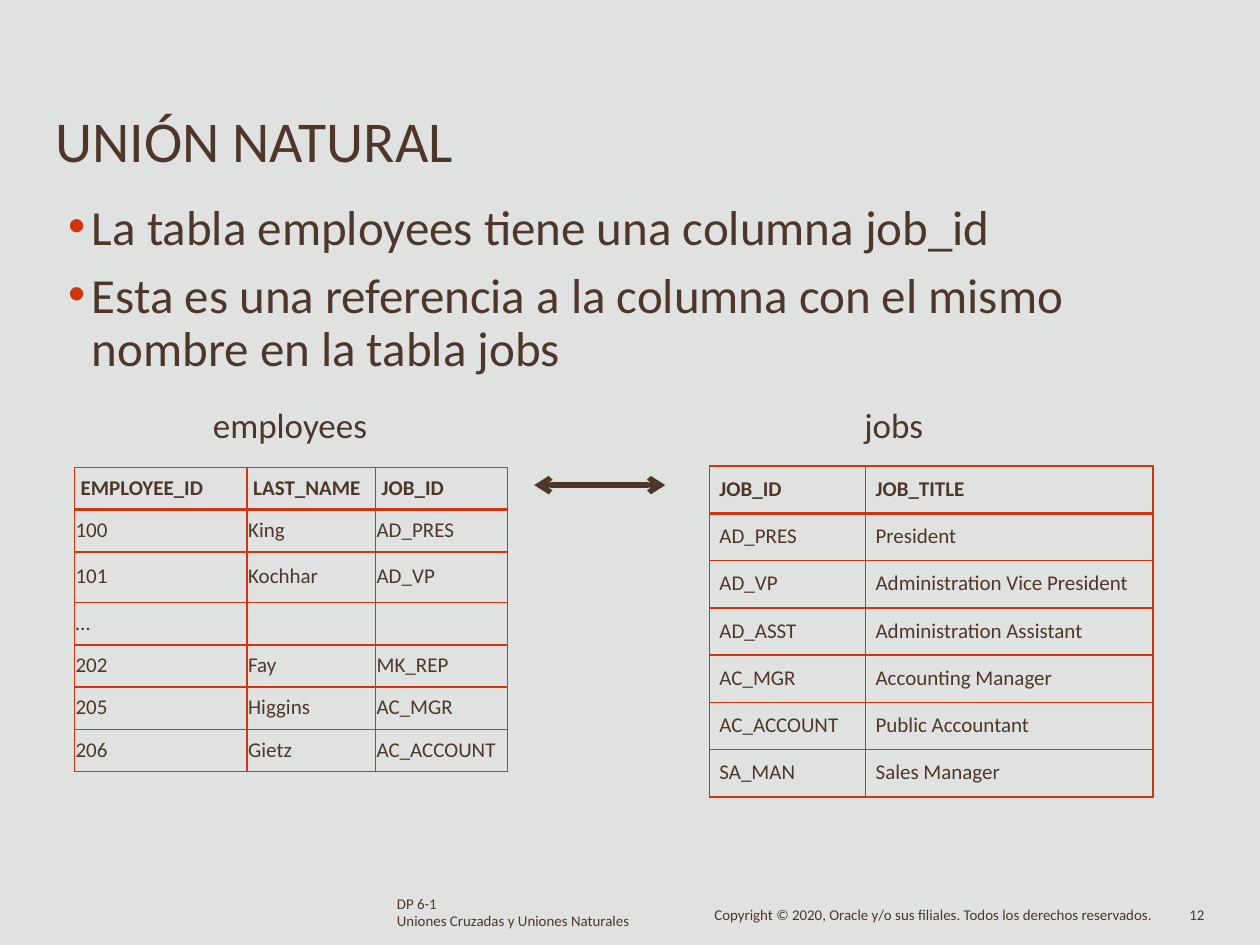
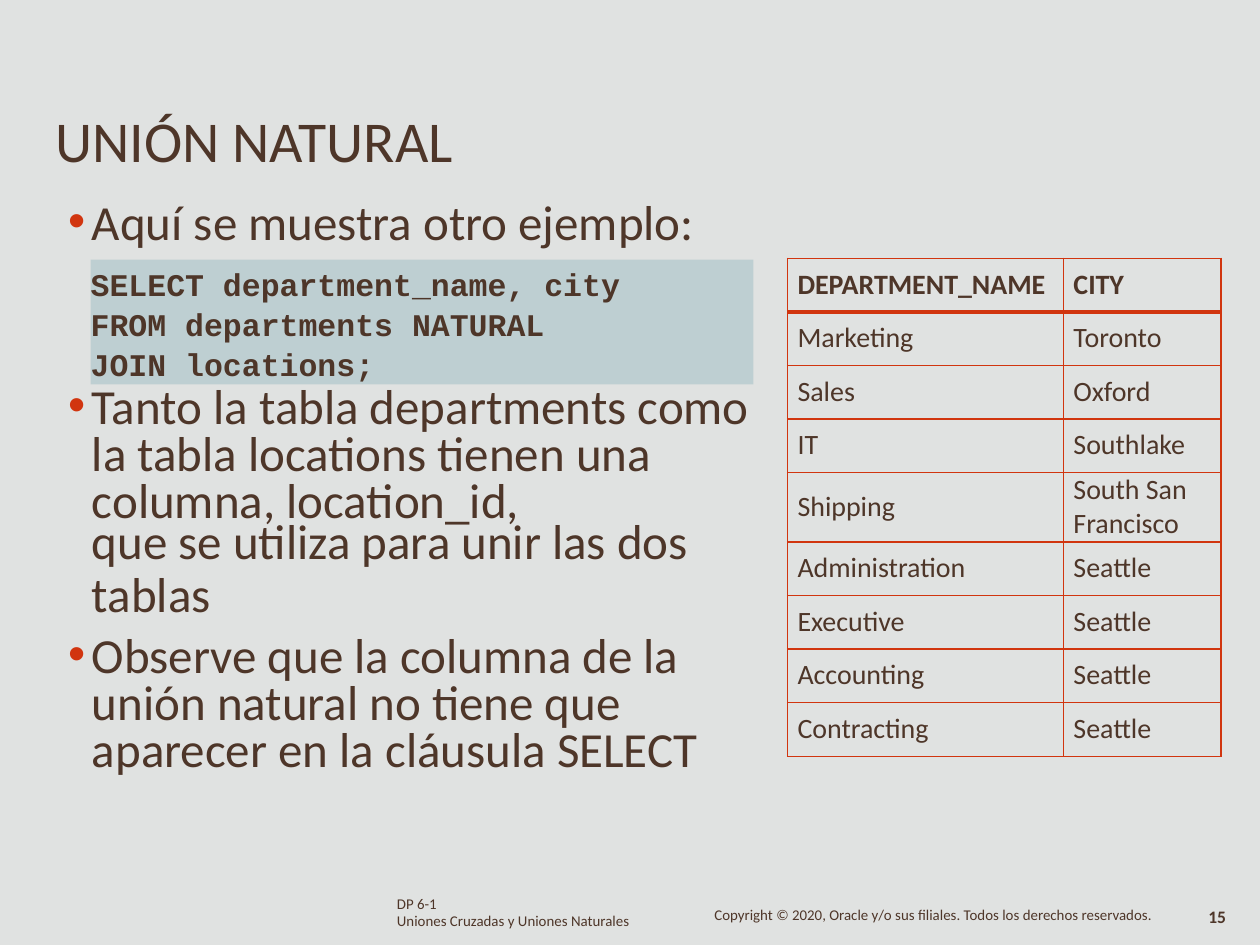
"""Build two slides on the natural join in SQL."""
from dataclasses import dataclass

from lxml import etree
from pptx import Presentation
from pptx.dml.color import RGBColor
from pptx.enum.shapes import MSO_CONNECTOR, MSO_SHAPE
from pptx.enum.text import MSO_ANCHOR, MSO_AUTO_SIZE, PP_ALIGN
from pptx.oxml.ns import qn
from pptx.util import Emu, Inches, Pt

LINE = MSO_CONNECTOR.STRAIGHT
RECT = MSO_SHAPE.RECTANGLE
TOP, MIDDLE = MSO_ANCHOR.TOP, MSO_ANCHOR.MIDDLE
FIXED = MSO_AUTO_SIZE.NONE
LEFT = PP_ALIGN.LEFT
COLS, ROWS = 100, 75


@dataclass(frozen=True)
class Theme:
    back: RGBColor = RGBColor(0xE0, 0xE2, 0xE1)
    ink: RGBColor = RGBColor(0x4E, 0x36, 0x29)
    rule: RGBColor = RGBColor(0xD1, 0x35, 0x0F)
    panel: RGBColor = RGBColor(0x9D, 0xBE, 0xC4)
    face: str = "Calibri"
    mono: str = "Courier New"
    title: float = 33
    body: float = 28
    label: float = 20
    query: float = 18
    city: float = 16
    cell: float = 12
    page: float = 10
    foot: float = 8.5
    thin: float = 1
    thick: float = 2.25
    arrow: float = 3


@dataclass(frozen=True)
class Item:
    text: str
    mark: bool = True
    pitch: object = None
    gap: float = 0


def add(parent, tag, **attrs):
    node = etree.SubElement(parent, qn(tag))
    for key, value in attrs.items():
        node.set(key, str(value))
    return node


class Deck:
    def __init__(self, theme):
        self.theme = theme
        self.show = Presentation()
        self.show.slide_width = Inches(10)
        self.show.slide_height = Inches(7.5)
        self.slide = None

    def x(self, cols):
        return Emu(round(self.show.slide_width * cols / COLS))

    def y(self, rows):
        return Emu(round(self.show.slide_height * rows / ROWS))

    def box(self, at):
        left, top, width, height = at
        return self.x(left), self.y(top), self.x(width), self.y(height)

    def begin(self, layout, title):
        self.slide = self.show.slides.add_slide(self.show.slide_layouts[layout])
        fill = self.slide.background.fill
        fill.solid()
        fill.fore_color.rgb = self.theme.back
        head = self.slide.shapes.title
        self.place(head, (4.3, 8.2, 49.5, 5.8))
        self.label(head, [Item(title, False)], self.theme.title)

    def place(self, shape, at):
        shape.left, shape.top, shape.width, shape.height = self.box(at)

    def style(self, para, size, bold=False, face=None):
        font = para.font
        font.name = face or self.theme.face
        font.size = Pt(size)
        font.bold = bold
        font.color.rgb = self.theme.ink

    def indent(self, para, mark, dent):
        props = para._p.get_or_add_pPr()
        props.set("marL", str(Inches(dent)))
        props.set("indent", str(Inches(-0.19 if mark else 0)))
        if mark:
            add(add(props, "a:buClr"), "a:srgbClr", val=self.theme.rule)
            add(props, "a:buChar", char="•")
        else:
            add(props, "a:buNone")

    def label(self, shape, items, size, inset=0.01, bold=False, face=None, dent=0.01):
        frame = shape.text_frame
        frame.word_wrap = True
        frame.auto_size = FIXED
        frame.vertical_anchor = TOP
        frame.margin_left = frame.margin_right = frame.margin_bottom = 0
        frame.margin_top = Inches(inset)
        for i, item in enumerate(items):
            para = frame.add_paragraph() if i else frame.paragraphs[0]
            para.text = item.text
            para.alignment = LEFT
            para.space_before = Pt(item.gap)
            para.line_spacing = item.pitch
            self.indent(para, item.mark, dent)
            self.style(para, size, bold, face)

    def points(self, index, at, items, inset):
        shape = self.slide.placeholders[index]
        self.place(shape, at)
        self.label(shape, items, self.theme.body, inset, dent=0.2)

    def note(self, at, lines, size, pitch=None, bold=False):
        shape = self.slide.shapes.add_textbox(*self.box(at))
        items = [Item(line, False, pitch) for line in lines]
        self.label(shape, items, size, bold=bold)

    def foot(self, page, left, size, bold=False):
        small = self.theme.foot
        self.note((31.4, 71, 18.8, 3),
                  ["DP 6-1", "Uniones Cruzadas y Uniones Naturales"], small, Pt(9.7))
        self.note((56.6, 71.8, 36, 1.7),
                  ["Copyright © 2020, Oracle y/o sus filiales. "
                   "Todos los derechos reservados."], small)
        self.note((left, 71.8, 2.4, 1.7), [page], size, bold=bold)

    def query(self, at, lines):
        shape = self.slide.shapes.add_shape(RECT, *self.box(at))
        shape.shadow.inherit = False
        shape.line.fill.background()
        shape.fill.solid()
        shape.fill.fore_color.rgb = self.theme.panel
        tint = shape._element.spPr.find(qn("a:solidFill"))[0]
        add(tint, "a:alpha", val=50000)
        items = [Item(line, False, gap=1.4 if i else 0) for i, line in enumerate(lines)]
        self.label(shape, items, self.theme.query, 0.04, True, self.theme.mono, 0)

    def arrow(self, left, right, row):
        line = self.slide.shapes.add_connector(
            LINE, self.x(left), self.y(row), self.x(right), self.y(row))
        line.line.color.rgb = self.theme.ink
        line.line.width = Pt(self.theme.arrow)
        props = line._element.spPr
        stroke = props.find(qn("a:ln"))
        for end in ("a:headEnd", "a:tailEnd"):
            add(stroke, end, type="arrow", w="med", len="med")
        add(props, "a:effectLst")

    def border(self, cell, row):
        props = cell._tc.get_or_add_tcPr()
        thin, thick = self.theme.thin, self.theme.thick
        sides = {"L": thin, "R": thin, "T": thick if row == 1 else thin,
                 "B": thick if row == 0 else thin}
        for i, (side, width) in enumerate(sides.items()):
            stroke = add(props, f"a:ln{side}", w=Pt(width))
            add(add(stroke, "a:solidFill"), "a:srgbClr", val=self.theme.rule)
            props.insert(i, stroke)

    def table(self, left, top, widths, data, size, pitch, pads, tall=None):
        tall = tall or {}
        heights = [tall.get(i, pitch) for i in range(len(data))]
        at = (left, top, sum(widths), sum(heights))
        grid = self.slide.shapes.add_table(len(data), len(widths), *self.box(at)).table
        grid.first_row = grid.horz_banding = False
        for col, width in zip(grid.columns, widths):
            col.width = self.x(width)
        for i, (row, height) in enumerate(zip(grid.rows, heights)):
            row.height = self.y(height)
            for cell, text in zip(row.cells, data[i]):
                cell.text = text
                cell.fill.background()
                cell.vertical_anchor = MIDDLE
                cell.margin_left = Inches(pads[0] if i == 0 else pads[1])
                cell.margin_right = cell.margin_top = 0
                cell.margin_bottom = Inches(0.01)
                self.style(cell.text_frame.paragraphs[0], size, i == 0)
                self.border(cell, i)


STAFF = [
    ("EMPLOYEE_ID", "LAST_NAME", "JOB_ID"),
    ("100", "King", "AD_PRES"),
    ("101", "Kochhar", "AD_VP"),
    ("…", "", ""),
    ("202", "Fay", "MK_REP"),
    ("205", "Higgins", "AC_MGR"),
    ("206", "Gietz", "AC_ACCOUNT"),
]
JOBS = [
    ("JOB_ID", "JOB_TITLE"),
    ("AD_PRES", "President"),
    ("AD_VP", "Administration Vice President"),
    ("AD_ASST", "Administration Assistant"),
    ("AC_MGR", "Accounting Manager"),
    ("AC_ACCOUNT", "Public Accountant"),
    ("SA_MAN", "Sales Manager"),
]
CITIES = [
    ("DEPARTMENT_NAME", "CITY"),
    ("Marketing", "Toronto"),
    ("Sales", "Oxford"),
    ("IT", "Southlake"),
    ("Shipping", "South San Francisco"),
    ("Administration", "Seattle"),
    ("Executive", "Seattle"),
    ("Accounting", "Seattle"),
    ("Contracting", "Seattle"),
]
TITLE = "UNIÓN NATURAL"


def link(deck):
    theme = deck.theme
    deck.begin(1, TITLE)
    deck.points(1, (5.3, 14.8, 79.3, 16), [
        Item("La tabla employees tiene una columna job_id"),
        Item("Esta es una referencia a la columna con el mismo nombre en la tabla jobs",
             pitch=Pt(30.3), gap=8.4),
    ], 0.08)
    for left, name in ((16.8, "employees"), (68.5, "jobs")):
        deck.note((left, 31.9, 14, 3.5), [name], theme.label)
    deck.table(5.9, 37.1, (13.7, 10.2, 10.5), STAFF, theme.cell, 3.36, (0.05, 0.01), {2: 4})
    deck.table(56.3, 37, (12.4, 22.8), JOBS, theme.cell, 3.75, (0.08, 0.08))
    deck.arrow(42.4, 52.8, 38.5)
    deck.foot("12", 94.3, theme.foot)


def sample(deck):
    theme = deck.theme
    deck.begin(3, TITLE)
    deck.points(1, (5.3, 15.1, 52, 4.9), [Item("Aquí se muestra otro ejemplo:")], 0.01)
    deck.points(2, (5.3, 29.6, 54.4, 32.2), [
        Item("Tanto la tabla departments como la tabla locations tienen una "
             "columna, location_id,", pitch=0.8),
        Item("que se utiliza para unir las dos", False, Pt(23.5)),
        Item("tablas", False, Pt(30.2)),
        Item("Observe que la columna de la unión natural no tiene que "
             "aparecer en la cláusula SELECT", pitch=0.8, gap=8.1),
    ], 0.11)
    deck.table(62.5, 20.5, (21.9, 12.5), CITIES, theme.city, 4.25, (0.08, 0.08), {4: 5.5})
    deck.query((7.2, 20.6, 52.6, 9.9), [
        "SELECT department_name, city", "FROM departments NATURAL", "JOIN locations;"])
    deck.foot("15", 95.8, theme.page, True)


def main():
    deck = Deck(Theme())
    link(deck)
    sample(deck)
    deck.show.save("out.pptx")


if __name__ == "__main__":
    main()
